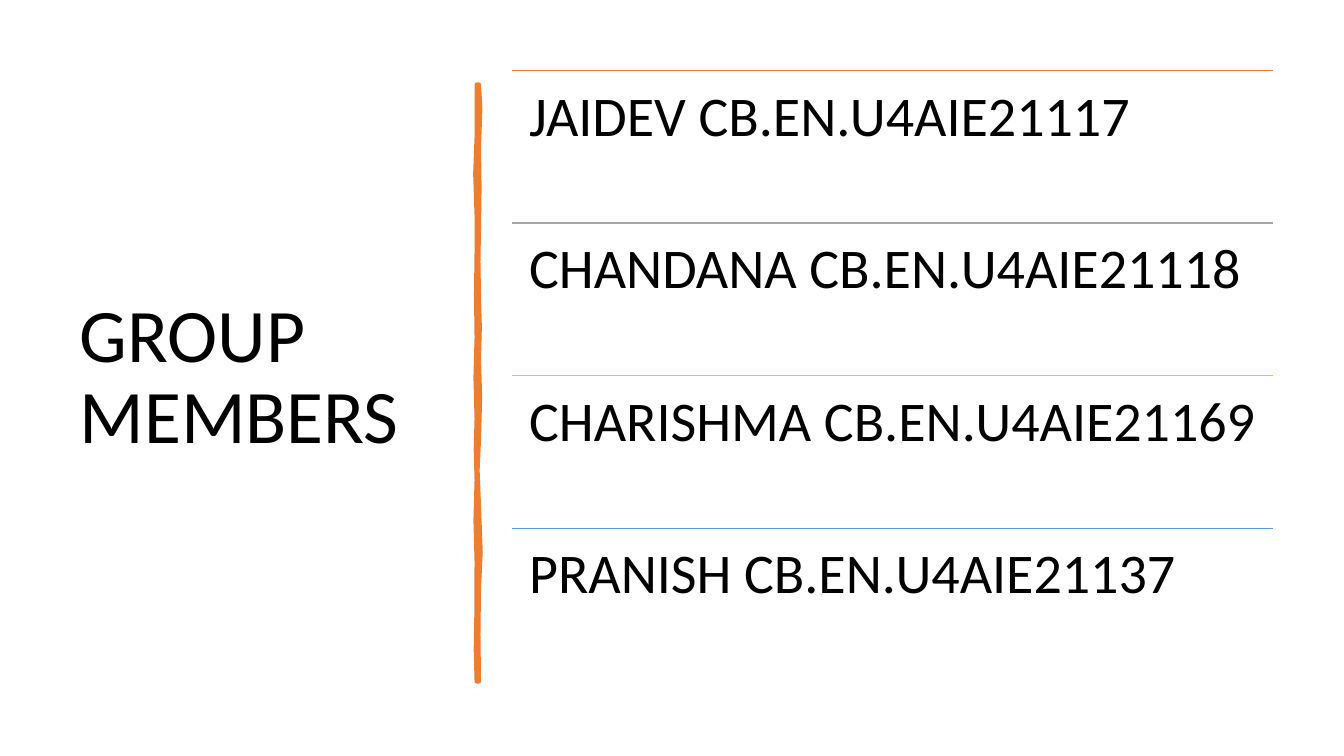
"""Build the group members slide: a title, a hand-drawn divider and four ruled rows."""
from lxml import etree
from pptx import Presentation
from pptx.dml.color import RGBColor
from pptx.enum.shapes import MSO_CONNECTOR
from pptx.enum.text import MSO_ANCHOR, MSO_AUTO_SIZE, PP_ALIGN
from pptx.oxml.ns import qn
from pptx.util import Pt

STRAIGHT = MSO_CONNECTOR.STRAIGHT
TOP, MIDDLE = MSO_ANCHOR.TOP, MSO_ANCHOR.MIDDLE
NO_FIT = MSO_AUTO_SIZE.NONE
LEFT = PP_ALIGN.LEFT

BLACK = RGBColor(0x00, 0x00, 0x00)
WHITE = RGBColor(0xFF, 0xFF, 0xFF)
ORANGE = RGBColor(0xED, 0x7D, 0x31)
GRAY = RGBColor(0xA5, 0xA5, 0xA5)
GOLD = RGBColor(0xFF, 0xC0, 0x00)
BLUE = RGBColor(0x5B, 0x9B, 0xD5)

MEMBERS = [
    ("JAIDEV CB.EN.U4AIE21117", ORANGE),
    ("CHANDANA CB.EN.U4AIE21118", GRAY),
    ("CHARISHMA CB.EN.U4AIE21169", GOLD),
    ("PRANISH CB.EN.U4AIE21137", BLUE),
]
ROW_LEFT, ROW_TOP, ROW_WIDTH, ROW_HEIGHT = 365.8, 50.4, 543.6, 109
ROW_INSET = 12.2

DIVIDER_RIGHT = [(342, 60.5), (343, 77), (342, 105), (342.4, 134), (342, 163),
                 (341.6, 187), (342, 212), (342.6, 234), (342, 256), (342.8, 284),
                 (342, 314), (341, 336), (342.2, 367), (343.2, 394), (342, 420),
                 (341.6, 453), (342, 486.7)]
DIVIDER_LEFT = [(340.6, 486.7), (340, 464), (340.4, 441), (340.6, 401), (339.8, 372),
                (340.6, 343), (340, 321), (340.6, 299), (339.8, 270), (340.6, 241),
                (340.2, 210), (340.6, 180), (340.6, 154), (339.6, 124), (340.6, 98),
                (340.6, 60.5)]
UNITS_PER_POINT = 10


def set_text(shape, text, size, inset_x, inset_y, anchor):
    frame = shape.text_frame
    frame.text = text
    frame_format = {
        "word_wrap": True, "auto_size": NO_FIT, "vertical_anchor": anchor,
        "margin_left": Pt(inset_x), "margin_right": Pt(inset_x),
        "margin_top": Pt(inset_y), "margin_bottom": Pt(inset_y),
    }
    for name, value in frame_format.items():
        setattr(frame, name, value)
    paragraph = frame.paragraphs[0]
    paragraph.alignment = LEFT
    paragraph.line_spacing = 0.9
    font = paragraph.runs[0].font
    for name, value in {"name": "Calibri", "size": Pt(size)}.items():
        setattr(font, name, value)
    font.color.rgb = BLACK


presentation = Presentation()
presentation.slide_width = Pt(960)
presentation.slide_height = Pt(540)
slide = presentation.slides.add_slide(presentation.slide_layouts[5])
slide.background.fill.solid()
slide.background.fill.fore_color.rgb = WHITE

title = slide.shapes.title
title_box = {"left": 49.7, "top": 50.4, "width": 269.3, "height": 440}
for name, value in title_box.items():
    setattr(title, name, Pt(value))
set_text(title, "GROUP MEMBERS", 54, 7.2, 3.6, MIDDLE)

outline = [(x * UNITS_PER_POINT, y * UNITS_PER_POINT)
           for x, y in DIVIDER_RIGHT + DIVIDER_LEFT]
builder = slide.shapes.build_freeform(*outline[0], scale=Pt(1) / UNITS_PER_POINT)
builder.add_line_segments(outline[1:], close=True)
divider = builder.convert_to_shape()
divider.shadow.inherit = False
divider.fill.solid()
divider.fill.fore_color.rgb = ORANGE
divider.line.color.rgb = ORANGE
divider.line.width = Pt(3.25)

for index, (member, color) in enumerate(MEMBERS):
    row_top = Pt(ROW_TOP + index * ROW_HEIGHT)
    rule = slide.shapes.add_connector(
        STRAIGHT, Pt(ROW_LEFT), row_top, Pt(ROW_LEFT + ROW_WIDTH), row_top)
    rule.line.color.rgb = color
    rule.line.width = Pt(1)
    etree.SubElement(rule.element.spPr, qn("a:effectLst"))
    row = slide.shapes.add_textbox(Pt(ROW_LEFT), row_top, Pt(ROW_WIDTH), Pt(ROW_HEIGHT))
    set_text(row, member, 40, ROW_INSET, ROW_INSET, TOP)

presentation.save("out.pptx")
